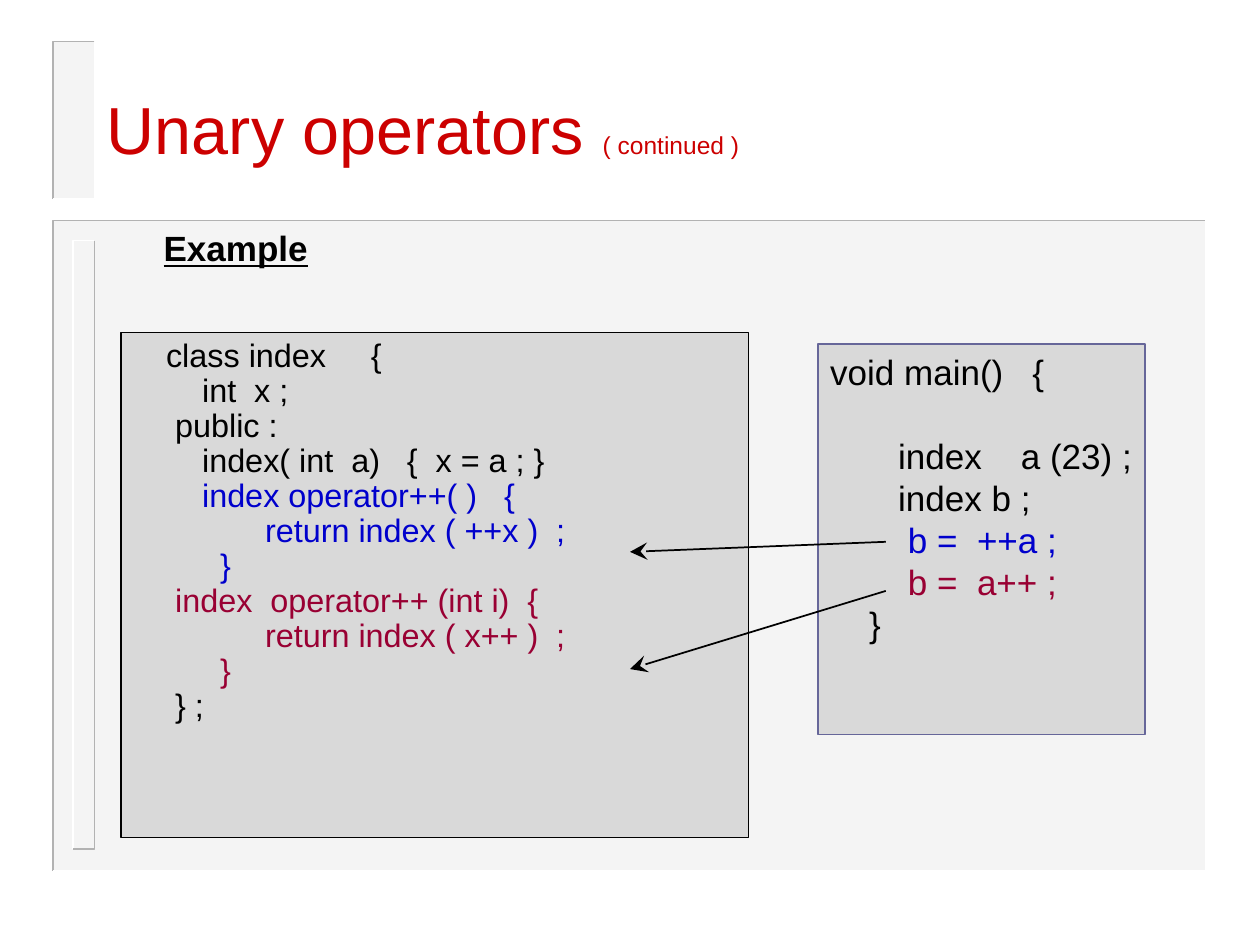
from lxml.etree import SubElement
from pptx import Presentation
from pptx.dml.color import RGBColor
from pptx.enum.shapes import MSO_CONNECTOR, MSO_SHAPE
from pptx.enum.text import MSO_ANCHOR, PP_ALIGN
from pptx.oxml.ns import qn
from pptx.util import Inches, Pt

FONT = "Arial"
SPACE_WIDTH = 0.278  # width of one code column, as a share of the text size
COLORS = {
    "title": "CC0000",
    "text": "000000",
    "prefix": "0000CC",
    "postfix": "990033",
    "panel": "EAEAEA",
    "shade": "B2B2B2",
    "light": "FFFFFF",
    "code": "D9D9D9",
    "main_edge": "666699",
}

# Code lines: (indent in columns, text, colour)
CLASS_CODE = [
    (0, "class index     {", "text"),
    (4, "int  x ;", "text"),
    (1, "public :", "text"),
    (4, "index( int  a)   {  x = a ; }", "text"),
    (4, "index operator++( )   {", "prefix"),
    (11, "return index ( ++x )  ;", "prefix"),
    (6, "}", "prefix"),
    (1, "index  operator++ (int i)  {", "postfix"),
    (11, "return index ( x++ )  ;", "postfix"),
    (6, "}", "postfix"),
    (1, "} ;", "text"),
]
MAIN_CODE = [
    (0, "void main()   {", "text"),
    (7, "index    a (23) ;", "text"),
    (7, "index b ;", "text"),
    (8, "b =  ++a ;", "prefix"),
    (8, "b =  a++ ;", "postfix"),
    (4, "}", "text"),
]


def rgb(name):
    return RGBColor.from_string(COLORS[name])


class SlideBuilder:
    def __init__(self, slide):
        self.slide = slide

    def style_run(self, run, size, color, bold=False, underline=False):
        font = run.font
        font.name, font.size = FONT, Pt(size)
        font.bold, font.underline = bold, underline
        font.color.rgb = rgb(color)

    def style_line(self, line, color, width=1):
        line.color.rgb = rgb(color)
        line.width = Pt(width)

    def rectangle(self, left, top, width, height, fill, line=None, line_width=1, opacity=None):
        shape = self.slide.shapes.add_shape(
            MSO_SHAPE.RECTANGLE, Inches(left), Inches(top), Inches(width), Inches(height))
        shape.shadow.inherit = False
        shape.fill.solid()
        shape.fill.fore_color.rgb = rgb(fill)
        if opacity:
            color = shape.fill._xPr.find(qn("a:solidFill"))[0]
            SubElement(color, qn("a:alpha"), val=str(opacity * 1000))
        if line:
            self.style_line(shape.line, line, line_width)
        else:
            shape.line.fill.background()
        return shape

    def bevel(self, left, top, width, height, upper, lower):
        """Draw the upper-left and lower-right edges of a box in two colours."""
        right, bottom = left + width, top + height
        for corner, color in (((left, top), upper), ((right, bottom), lower)):
            points = [(Inches(x), Inches(y))
                      for x, y in ((right, top), corner, (left, bottom))]
            builder = self.slide.shapes.build_freeform(*points[0])
            builder.add_line_segments(points[1:], close=False)
            shape = builder.convert_to_shape()
            shape.shadow.inherit = False
            shape.fill.background()
            self.style_line(shape.line, color)

    def text(self, left, top, width, height, runs, anchor=MSO_ANCHOR.TOP):
        box = self.slide.shapes.add_textbox(
            Inches(left), Inches(top), Inches(width), Inches(height))
        text_frame = box.text_frame
        text_frame.word_wrap = True
        text_frame.vertical_anchor = anchor
        paragraph = text_frame.paragraphs[0]
        for content, style in runs:
            run = paragraph.add_run()
            run.text = content
            self.style_run(run, **style)
        return paragraph

    def code(self, shape, lines, size, spacing, indent=0.0):
        text_frame = shape.text_frame
        text_frame.word_wrap = True
        text_frame.vertical_anchor = MSO_ANCHOR.TOP
        text_frame.margin_right = 0
        text_frame.text = "\n".join(content for _, content, _ in lines)
        for paragraph, (columns, _, color) in zip(text_frame.paragraphs, lines):
            paragraph.alignment = PP_ALIGN.LEFT
            paragraph.line_spacing = Pt(spacing)
            left = Inches(indent) + Pt(columns * SPACE_WIDTH * size)
            paragraph._p.get_or_add_pPr().set("marL", str(int(left)))
            self.style_run(paragraph.runs[0], size, color)
        return text_frame.paragraphs

    def arrow(self, start, end):
        connector = self.slide.shapes.add_connector(
            MSO_CONNECTOR.STRAIGHT, *(Inches(value) for value in start + end))
        self.style_line(connector.line, "text")
        SubElement(connector.line._get_or_add_ln(), qn("a:tailEnd"),
                   type="stealth", w="lg", len="lg")
        SubElement(connector._element.spPr, qn("a:effectLst"))


def main():
    presentation = Presentation()
    presentation.slide_width, presentation.slide_height = Inches(10), Inches(7.5)
    slide = presentation.slides.add_slide(presentation.slide_layouts[6])
    builder = SlideBuilder(slide)

    # Bevelled background panels
    builder.rectangle(0.43, 1.75, 9.14, 5.16, "panel", opacity=50)
    builder.bevel(0.42, 1.75, 9.15, 5.16, "shade", "light")
    builder.bevel(0.58, 1.91, 0.17, 4.83, "light", "shade")
    builder.rectangle(0.42, 0.33, 0.33, 1.25, "panel", opacity=50)
    builder.bevel(0.42, 0.33, 0.33, 1.25, "shade", "light")

    # Title and heading
    builder.text(0.75, 0.39, 9.25, 1.25, [
        ("Unary operators ", {"size": 38, "color": "title"}),
        ("( continued )", {"size": 14, "color": "title"}),
    ], anchor=MSO_ANCHOR.MIDDLE)
    heading = builder.text(1.2, 1.75, 1.5, 0.44, [
        ("Example", {"size": 20, "color": "text", "bold": True, "underline": True}),
    ])
    heading.line_spacing = Pt(24)

    # Code boxes
    class_box = builder.rectangle(0.96, 2.64, 4.98, 4.01, "code", "text", 0.75)
    builder.code(class_box, CLASS_CODE, size=18.5, spacing=20, indent=0.26)
    main_box = builder.rectangle(6.49, 2.73, 2.6, 3.1, "code", "main_edge")
    main_lines = builder.code(main_box, MAIN_CODE, size=20, spacing=24)
    main_lines[1].space_before = Pt(24)

    # Arrows from each call to its operator
    builder.arrow((7.03, 4.3), (5, 4.38))
    builder.arrow((7.03, 4.69), (5, 5.31))

    presentation.save("out.pptx")


if __name__ == "__main__":
    main()
